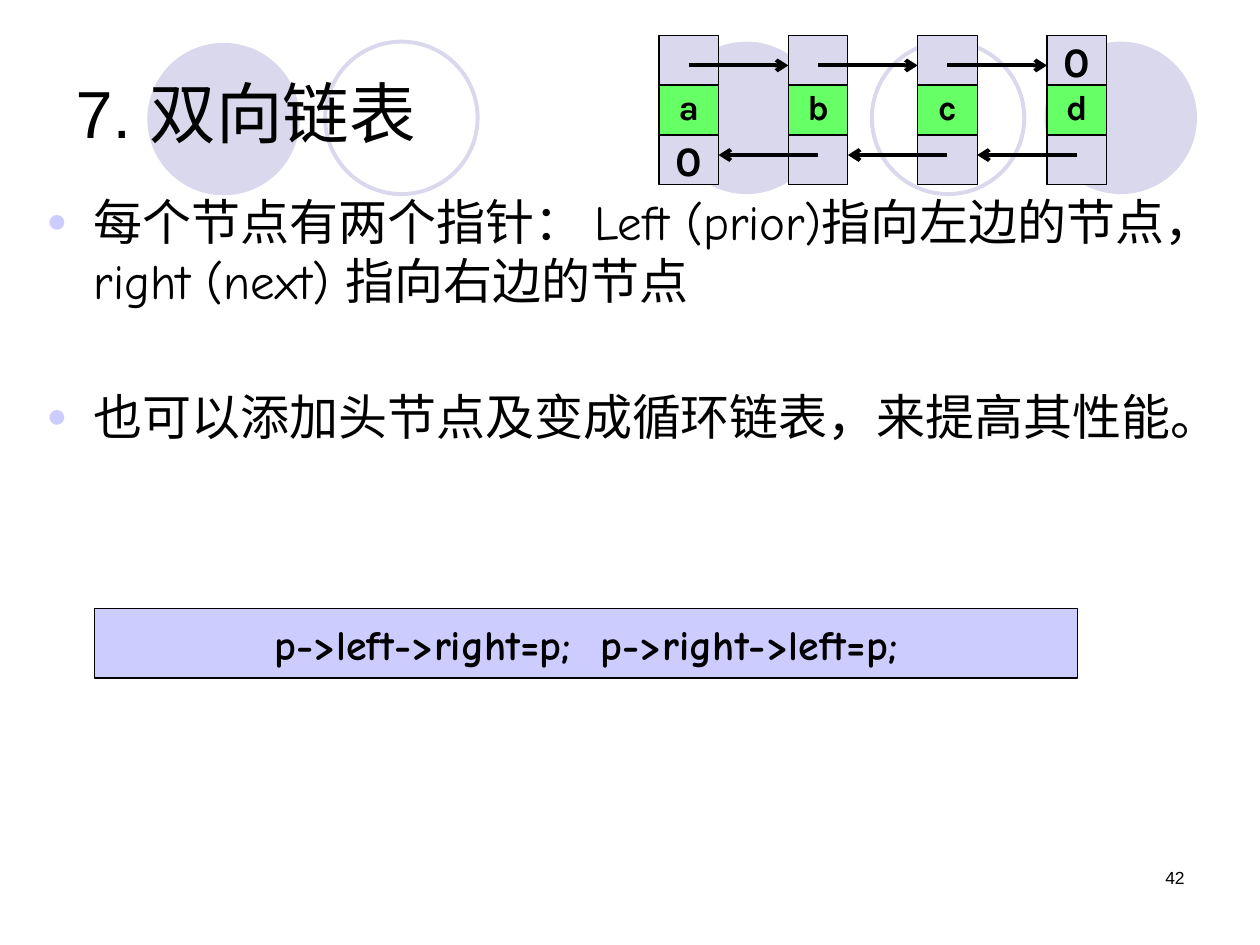
from lxml.etree import SubElement
from pptx import Presentation
from pptx.dml.color import RGBColor
from pptx.enum.shapes import MSO_CONNECTOR, MSO_SHAPE
from pptx.enum.text import MSO_ANCHOR, MSO_AUTO_SIZE, PP_ALIGN
from pptx.oxml.ns import qn
from pptx.util import Pt

TITLE = "7. 双向链表"
POINTS = [
    "每个节点有两个指针： Left (prior)指向左边的节点，right (next) 指向右边的节点",
    "也可以添加头节点及变成循环链表，来提高其性能。",
]
CODE = "p->left->right=p;  p->right->left=p;"
PAGE = "42"
# Each node from top to bottom: right pointer, value, left pointer
NODES = [("", "a", "0"), ("", "b", ""), ("", "c", ""), ("0", "d", "")]

BLACK, PALE, LILAC, GREEN = "000000", "D9D8EC", "CCCCFF", "66FF66"
CIRCLE_SIZE = 87.1
CIRCLES = [  # left, top, filled
    (383, 23.8, True), (596.9, 23.8, True), (84.2, 24.5, True),
    (498.2, 23.8, False), (185.8, 23.8, False),
]
NODE_LEFT, NODE_TOP, NODE_PITCH = 376.6, 20.3, 73.9
CELL_W, CELL_H = 34, 28.4
RIGHT_Y, LEFT_Y = 37.4, 88.6


def color(hex_string):
    return RGBColor.from_string(hex_string)


def set_font(paragraph, name, size, bold=False):
    font = paragraph.font
    font.name, font.size, font.bold = name, Pt(size), bold
    font.color.rgb = color(BLACK)


def place(shape, left, top, width, height):
    shape.left, shape.top = Pt(left), Pt(top)
    shape.width, shape.height = Pt(width), Pt(height)


def add_figure(kind, box, fill=None, line=None, line_width=0.75):
    figure = slide.shapes.add_shape(kind, *map(Pt, box))
    figure.shadow.inherit = False
    if fill:
        figure.fill.solid()
        figure.fill.fore_color.rgb = color(fill)
    else:
        figure.fill.background()
    if line:
        figure.line.color.rgb = color(line)
        figure.line.width = Pt(line_width)
    else:
        figure.line.fill.background()
    return figure


def add_label(figure, text, font, size, line_spacing=1.0):
    frame = figure.text_frame
    frame.word_wrap = False
    frame.vertical_anchor = MSO_ANCHOR.MIDDLE
    paragraph = frame.paragraphs[0]
    paragraph.text = text
    paragraph.alignment = PP_ALIGN.CENTER
    paragraph.line_spacing = line_spacing
    set_font(paragraph, font, size, bold=True)


def add_arrow(start_x, end_x, y):
    arrow = slide.shapes.add_connector(
        MSO_CONNECTOR.STRAIGHT, Pt(start_x), Pt(y), Pt(end_x), Pt(y))
    arrow.line.color.rgb = color(BLACK)
    arrow.line.width = Pt(2.25)
    SubElement(arrow.line._get_or_add_ln(), qn("a:tailEnd"), type="arrow")
    SubElement(arrow._element.spPr, qn("a:effectLst"))


def add_bullet(paragraph):
    props = paragraph._p.get_or_add_pPr()
    props.set("marL", str(Pt(27)))
    props.set("indent", str(-Pt(27)))
    bullet_color = SubElement(props, qn("a:buClr"))
    SubElement(bullet_color, qn("a:srgbClr"), val=LILAC)
    SubElement(props, qn("a:buSzPct"), val="70000")
    SubElement(props, qn("a:buFont"), typeface="Arial")
    SubElement(props, qn("a:buChar"), char="●")


prs = Presentation()
prs.slide_width, prs.slide_height = Pt(720), Pt(540)
slide = prs.slides.add_slide(prs.slide_layouts[1])
title, body = slide.placeholders

# Background circles, sent behind the placeholders
for depth, (left, top, filled) in enumerate(CIRCLES):
    circle = add_figure(MSO_SHAPE.OVAL, (left, top, CIRCLE_SIZE, CIRCLE_SIZE),
                        PALE if filled else None, None if filled else PALE, 2.25)
    slide.shapes._spTree.insert(2 + depth, circle._element)

place(title, 36, 21.6, 648, 90)
title.text_frame.text = TITLE
title.text_frame.auto_size = MSO_AUTO_SIZE.NONE
title.text_frame.vertical_anchor = MSO_ANCHOR.MIDDLE
heading = title.text_frame.paragraphs[0]
heading.alignment = PP_ALIGN.LEFT
heading.line_spacing = 0.9
set_font(heading, "Arial", 38)

place(body, 19.4, 105.8, 663.1, 414)
body.text_frame.text = "\n".join(POINTS)
body.text_frame.auto_size = MSO_AUTO_SIZE.NONE
for index, point in enumerate(body.text_frame.paragraphs):
    point.space_before = Pt(44 if index else 0)
    add_bullet(point)
    set_font(point, "Comic Neue", 28)

# Linked nodes
for column, node in enumerate(NODES):
    left = NODE_LEFT + column * NODE_PITCH
    for row, text in enumerate(node):
        is_value = row == 1
        cell = add_figure(MSO_SHAPE.RECTANGLE,
                          (left, NODE_TOP + row * CELL_H, CELL_W, CELL_H),
                          GREEN if is_value else PALE, BLACK)
        if text:
            add_label(cell, text, "Karla", 20 if is_value else 24,
                      0.8 if is_value else 1.0)

for column in range(len(NODES) - 1):
    left = NODE_LEFT + column * NODE_PITCH
    center = left + CELL_W / 2
    add_arrow(center, left + NODE_PITCH, RIGHT_Y)
    add_arrow(center + NODE_PITCH, left + CELL_W, LEFT_Y)

code_bar = add_figure(MSO_SHAPE.RECTANGLE, (54, 347.8, 561.6, 39.6), LILAC, BLACK)
add_label(code_bar, CODE, "Comic Neue", 24)

page_box = slide.shapes.add_textbox(Pt(516), Pt(492), Pt(168), Pt(36))
page_box.text_frame.word_wrap = True
page_number = page_box.text_frame.paragraphs[0]
page_number.text = PAGE
page_number.alignment = PP_ALIGN.RIGHT
set_font(page_number, "Arial", 10)

prs.save("out.pptx")
